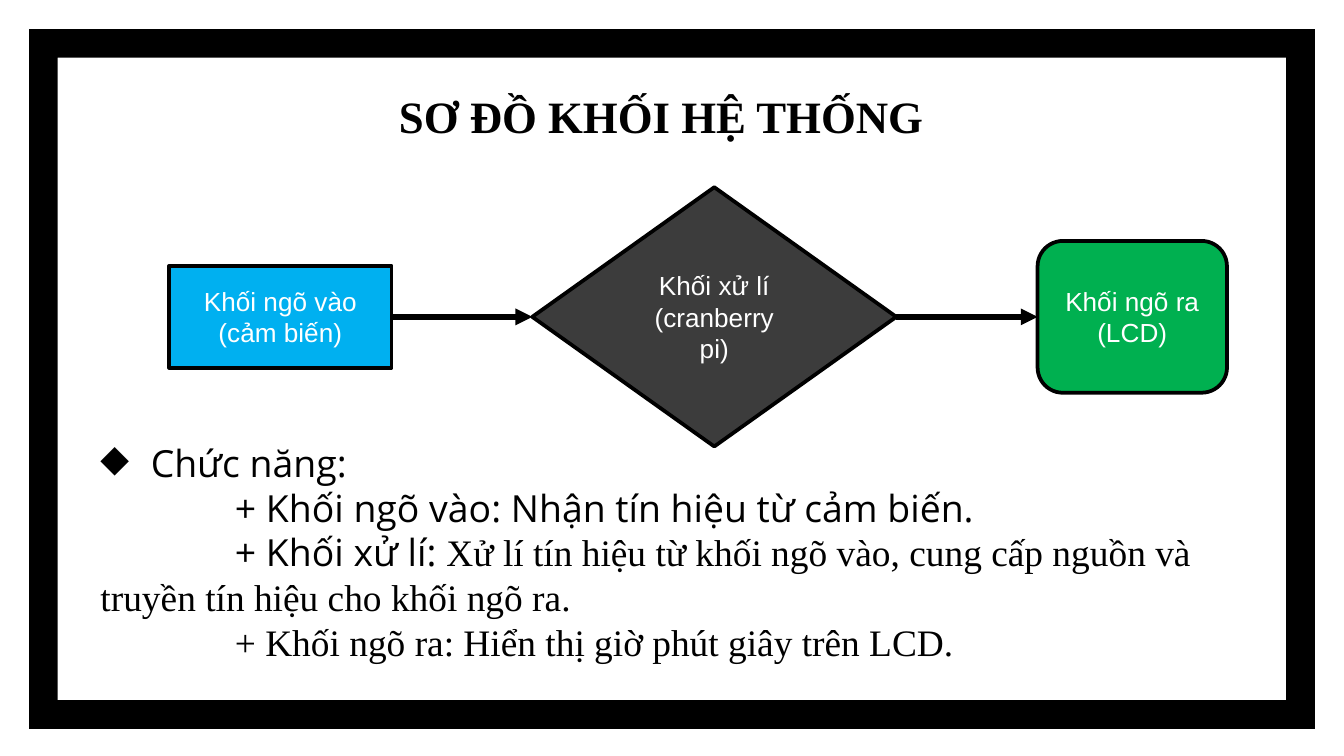
from lxml import etree
from pptx import Presentation
from pptx import util as u
from pptx.dml.color import RGBColor
from pptx.enum import shapes, text
from pptx.oxml.ns import qn

BLACK = RGBColor(0x00, 0x00, 0x00)
WHITE = RGBColor(0xFF, 0xFF, 0xFF)
BLUE = RGBColor(0x00, 0xB0, 0xF0)
GREY = RGBColor(0x3C, 0x3C, 0x3C)
GREEN = RGBColor(0x00, 0xB0, 0x50)
SANS, SERIF, LABEL = "Open Sans", "Times New Roman", "Arial"

TITLE = "SƠ ĐỒ KHỐI HỆ THỐNG"
# preset shape, fill, left, width, height (cm), lines of text
BLOCKS = [
    (shapes.MSO_SHAPE.RECTANGLE, BLUE, 3.2, 4.2, 1.93,
     ["Khối ngõ vào", "(cảm biến)"]),
    (shapes.MSO_SHAPE.DIAMOND, GREY, 10.06, 6.88, 4.9,
     ["Khối xử lí", "(cranberry pi)"]),
    (shapes.MSO_SHAPE.ROUNDED_RECTANGLE, GREEN, 19.61, 3.58, 2.87,
     ["Khối ngõ ra", "(LCD)"]),
]
AXIS = 5.99  # height of the line through all block centres
HEADING = "Chức năng:"
# each item is a list of (words, font)
FUNCTIONS = [
    [("+ Khối ngõ vào: Nhận tín hiệu từ cảm biến.", SANS)],
    [("+ Khối xử lí: ", SANS),
     ("Xử lí tín hiệu từ khối ngõ vào, cung cấp nguồn và truyền tín hiệu "
      "cho khối ngõ ra.", SERIF)],
    [("+ Khối ngõ ra: Hiển thị giờ phút giây trên LCD.", SERIF)],
]


def write(para, words, font, size, color=BLACK, bold=False, align=None):
    span = para.add_run()
    span.text = words
    span.font.name, span.font.size, span.font.bold = font, u.Pt(size), bold
    span.font.color.rgb = color
    if align is not None:
        para.alignment = align


def add_box(slide, left, top, width, height, wrap=True):
    box = slide.shapes.add_textbox(u.Cm(left), u.Cm(top), u.Cm(width), u.Cm(height))
    box.text_frame.word_wrap = wrap
    return box.text_frame


def add_block(slide, preset, fill, left, width, height, lines):
    block = slide.shapes.add_shape(preset, u.Cm(left), u.Cm(AXIS - height / 2),
                                   u.Cm(width), u.Cm(height))
    block.shadow.inherit = False
    block.fill.solid()
    block.fill.fore_color.rgb = fill
    block.line.color.rgb = BLACK
    block.line.width = u.Pt(2)
    frame = block.text_frame
    frame.vertical_anchor = text.MSO_ANCHOR.MIDDLE
    for index, line in enumerate(lines):
        para = frame.add_paragraph() if index else frame.paragraphs[0]
        write(para, line, LABEL, 14, WHITE, align=text.PP_ALIGN.CENTER)
    return block


def add_arrow(slide, source, target):
    arrow = slide.shapes.add_connector(shapes.MSO_CONNECTOR.STRAIGHT, 0, 0, 0, 0)
    arrow.begin_connect(source, 2 if source.auto_shape_type is None else 3)
    arrow.end_connect(target, 1)
    arrow.line.color.rgb = BLACK
    arrow.line.width = u.Pt(3)
    etree.SubElement(arrow.line._get_or_add_ln(), qn("a:tailEnd"), type="triangle")
    etree.SubElement(arrow._element.spPr, qn("a:effectLst"))


def set_indent(para, first, left=0, bullet=None):
    props = para._p.get_or_add_pPr()
    props.set("marL", str(u.Cm(left)))
    props.set("indent", str(u.Cm(first)))
    if bullet:
        color = etree.SubElement(props, qn("a:buClr"))
        etree.SubElement(color, qn("a:srgbClr"), val=str(BLACK))
        etree.SubElement(props, qn("a:buChar"), char=bullet)


deck = Presentation()
deck.slide_width, deck.slide_height = u.Cm(25.4), u.Cm(14.29)
slide = deck.slides.add_slide(deck.slide_layouts[6])

border = slide.shapes.add_shape(shapes.MSO_SHAPE.FRAME, u.Cm(0.55), u.Cm(0.55),
                                u.Cm(24.3), u.Cm(13.23))
border.adjustments[0] = 0.041
border.shadow.inherit = False
border.fill.solid()
border.fill.fore_color.rgb = BLACK
border.line.fill.background()

body = add_box(slide, 1.65, 7.97, 22.3, 4.93)
body.vertical_anchor = text.MSO_ANCHOR.MIDDLE
body.margin_top = body.margin_bottom = u.Cm(0.25)
heading = body.paragraphs[0]
heading.line_spacing = u.Pt(24)
set_indent(heading, -0.95, left=0.95, bullet="◆")
write(heading, HEADING, SANS, 20)
for spans in FUNCTIONS:
    para = body.add_paragraph()
    para.line_spacing = u.Pt(24)
    set_indent(para, 2.54)
    for words, font in spans:
        write(para, words, font, 20)

title = add_box(slide, 7.29, 1.55, 10.52, 1.27, wrap=False)
write(title.paragraphs[0], TITLE, SERIF, 24, bold=True)

blocks = [add_block(slide, *block) for block in BLOCKS]
for source, target in zip(blocks, blocks[1:]):
    add_arrow(slide, source, target)

deck.save("out.pptx")
